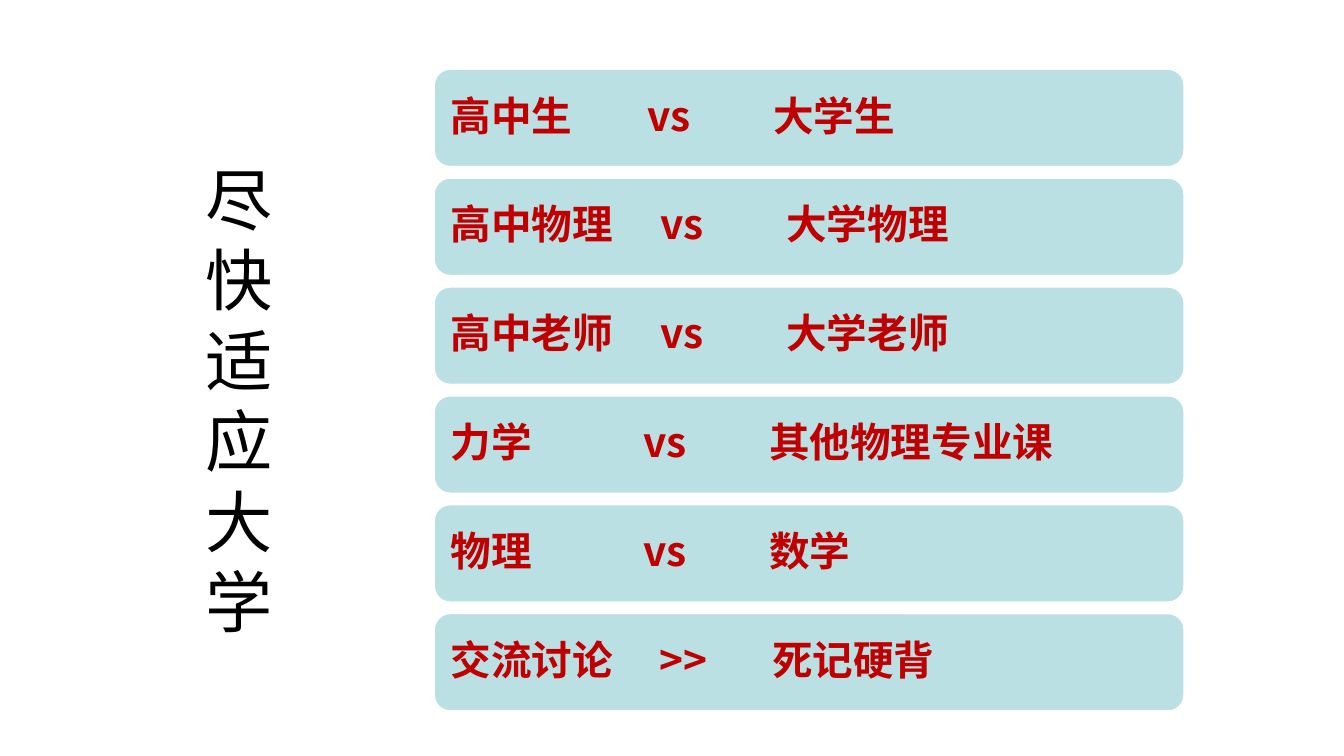
from dataclasses import dataclass

from lxml import etree
from pptx import Presentation
from pptx.dml.color import RGBColor
from pptx.enum.shapes import MSO_SHAPE
from pptx.enum.text import MSO_ANCHOR, PP_ALIGN
from pptx.oxml.ns import qn
from pptx.util import Inches, Pt

ROUND = MSO_SHAPE.ROUNDED_RECTANGLE
MIDDLE, BOTTOM = MSO_ANCHOR.MIDDLE, MSO_ANCHOR.BOTTOM
LEFT = PP_ALIGN.LEFT


@dataclass(frozen=True)
class Theme:
    font: str = "Noto Sans CJK SC"
    ink: str = "000000"
    red: str = "C00000"
    bar: str = "BBE0E3"
    edge: str = "FFFFFF"
    head: int = 48
    body: int = 29


class Deck:
    """Draws styled elements on the current slide."""

    def __init__(self, slide, theme):
        self.shapes, self.theme = slide.shapes, theme

    def run(self, para, text, size, color, bold=False):
        run = para.add_run()
        run.text = text
        font = run.font
        font.size, font.bold = Pt(size), bold
        font.color.rgb = RGBColor.from_string(color)
        font.name = self.theme.font
        east = etree.SubElement(run._r.get_or_add_rPr(), qn("a:ea"))
        east.set("typeface", self.theme.font)

    def title(self, text, left, top, width, height):
        box = self.shapes.add_textbox(
            Inches(left), Inches(top), Inches(width), Inches(height))
        frame = box.text_frame
        frame.word_wrap, frame.vertical_anchor = True, BOTTOM
        frame.margin_top = frame.margin_bottom = 0
        para = frame.paragraphs[0]
        para.line_spacing = Pt(57.5)
        self.run(para, text, self.theme.head, self.theme.ink)

    def bar(self, words, stops, left, top, width, height):
        bar = self.shapes.add_shape(
            ROUND, Inches(left), Inches(top), Inches(width), Inches(height))
        bar.shadow.inherit = False
        bar.fill.solid()
        bar.fill.fore_color.rgb = RGBColor.from_string(self.theme.bar)
        bar.line.color.rgb = RGBColor.from_string(self.theme.edge)
        bar.line.width = Pt(2)
        frame = bar.text_frame
        frame.word_wrap, frame.vertical_anchor = True, MIDDLE
        frame.margin_left = frame.margin_right = Inches(0.12)
        para = frame.paragraphs[0]
        para.alignment, para.line_spacing = LEFT, 0.9
        tabs = etree.SubElement(para._p.get_or_add_pPr(), qn("a:tabLst"))
        for stop in stops:
            tab = etree.SubElement(tabs, qn("a:tab"))
            tab.set("pos", str(Inches(stop)))
            tab.set("algn", "l")
        for place, word in enumerate(words):
            lead = "\t" if place else ""
            self.run(para, lead + word, self.theme.body, self.theme.red, True)


PAIRS = [
    (("高中生", "vs", "大学生"), (1.95, 3.2)),
    (("高中物理", "vs", "大学物理"), (2.08, 3.33)),
    (("高中老师", "vs", "大学老师"), (2.08, 3.33)),
    (("力学", "vs", "其他物理专业课"), (1.91, 3.16)),
    (("物理", "vs", "数学"), (1.91, 3.16)),
    (("交流讨论", ">>", "死记硬背"), (2.07, 3.19)),
]
START, PITCH = 0.68, 1.08


def main():
    show = Presentation()
    show.slide_width, show.slide_height = Inches(13.33), Inches(7.5)
    deck = Deck(show.slides.add_slide(show.slide_layouts[6]), Theme())
    deck.title("尽快适应大学", 1.94, 1.56, 0.65, 4.8)
    for row, (words, stops) in enumerate(PAIRS):
        deck.bar(words, stops, 4.3, START + row * PITCH, 7.45, 0.98)
    show.save("out.pptx")


if __name__ == "__main__":
    main()
